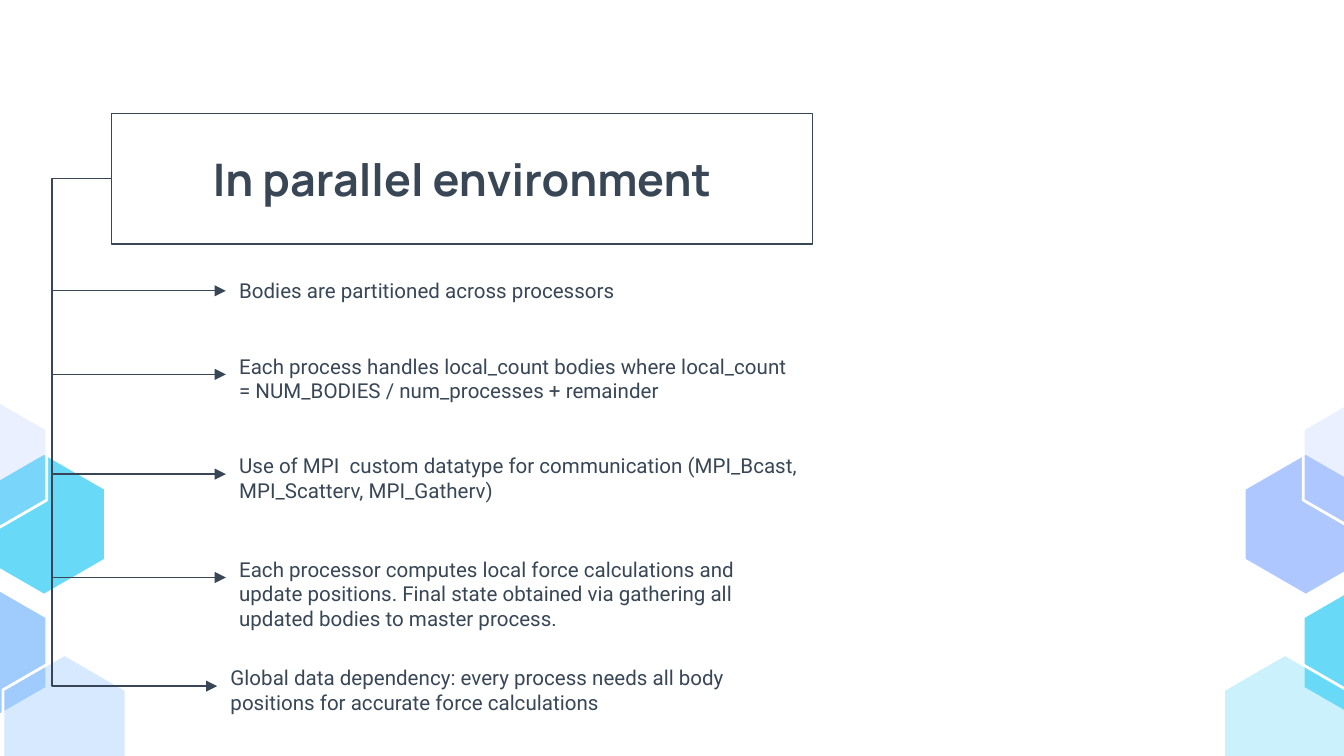
from lxml import etree
from pptx import Presentation
from pptx.dml.color import RGBColor
from pptx.enum.shapes import MSO_CONNECTOR
from pptx.enum.text import MSO_ANCHOR, MSO_AUTO_SIZE, PP_ALIGN
from pptx.oxml.ns import qn
from pptx.util import Pt

STRAIGHT, ELBOW = MSO_CONNECTOR.STRAIGHT, MSO_CONNECTOR.ELBOW
MIDDLE, TOP = MSO_ANCHOR.MIDDLE, MSO_ANCHOR.TOP
CENTER, NO_FIT = PP_ALIGN.CENTER, MSO_AUTO_SIZE.NONE
INK = "384655"
LEFT_SIDE = 1


def rgb(value):
    return RGBColor.from_string(value)


def add_arrow(kind, x, y, target):
    c = s.shapes.add_connector(kind, Pt(x), Pt(y), Pt(x), Pt(y))
    c.end_connect(target, LEFT_SIDE)
    c.line.color.rgb = rgb(INK)
    c.line.width = Pt(0.75)
    etree.SubElement(c.line._get_or_add_ln(), qn("a:tailEnd"), type="triangle")
    etree.SubElement(c._element.spPr, qn("a:effectLst"))
    return c


prs = Presentation()
prs.slide_width, prs.slide_height = Pt(720), Pt(405)
s = prs.slides.add_slide(prs.slide_layouts[5])

HEX_W, HEX_H = 66, 76.2
hexagons = [
    (-9.4, 242.8, "68DAF8", 100),
    (-41, 210.8, "AFC7FF", 25),
    (-41, 311.5, "9FCBFD", 100),
    (1.6, 350.6, "9FCBFD", 41),
    (666.6, 242.8, "AFC7FF", 100),
    (698.2, 210.8, "AFC7FF", 25),
    (698.2, 311.5, "68DAF8", 100),
    (655.4, 350.6, "68DAF8", 34),
]
corners = [(0.5, 0), (1, 0.25), (1, 0.75), (0.5, 1), (0, 0.75), (0, 0.25)]
for x, y, color, opacity in hexagons:
    pts = [(Pt(x + HEX_W * u), Pt(y + HEX_H * v)) for u, v in corners]
    builder = s.shapes.build_freeform(*pts[0])
    builder.add_line_segments(pts[1:], close=True)
    sp = builder.convert_to_shape()
    sp.shadow.inherit = False
    sp.fill.solid()
    sp.fill.fore_color.rgb = rgb(color)
    sp.line.color.rgb = rgb("FFFFFF")
    sp.line.width = Pt(1.5)
    if opacity < 100:
        clr = sp._element.spPr.find(qn("a:solidFill"))[0]
        etree.SubElement(clr, qn("a:alpha"), val=str(opacity * 1000))

title = s.shapes.title
title.left, title.top, title.width, title.height = Pt(59.6), Pt(60.9), Pt(375.8), Pt(69.8)
title.line.color.rgb = rgb(INK)
title.line.width = Pt(0.75)
tf = title.text_frame
tf.auto_size = NO_FIT
tf.vertical_anchor = MIDDLE
p = tf.paragraphs[0]
p.text = "In parallel environment"
p.alignment = CENTER
p.font.name, p.font.size, p.font.bold = "Manrope", Pt(24), True
p.font.color.rgb = rgb(INK)

SPINE_X = 27.8
points = [
    (121, 142.5, 26.6, "Bodies are partitioned across processors"),
    (121, 182.2, 36.8, "Each process handles local_count bodies where local_count = NUM_BODIES / num_processes + remainder"),
    (121, 235.6, 36.8, "Use of MPI  custom datatype for communication (MPI_Bcast, MPI_Scatterv, MPI_Gatherv)"),
    (121, 291, 36.8, "Each processor computes local force calculations and update positions. Final state obtained via gathering all updated bodies to master process."),
    (116.4, 349.2, 36.8, "Global data dependency: every process needs all body positions for accurate force calculations"),
]
boxes = []
for x, y, h, text in points:
    box = s.shapes.add_textbox(Pt(x), Pt(y), Pt(314), Pt(h))
    tf = box.text_frame
    tf.word_wrap = True
    tf.vertical_anchor = TOP
    tf.margin_left = tf.margin_right = tf.margin_top = tf.margin_bottom = Pt(7.2)
    p = tf.paragraphs[0]
    p.text = text
    p.font.name, p.font.size = "Roboto", Pt(11)
    p.font.color.rgb = rgb(INK)
    boxes.append(box)

for box, (x, y, h, text) in zip(boxes[:-1], points):
    add_arrow(STRAIGHT, SPINE_X, y + h / 2, box)

spine = add_arrow(ELBOW, 59.6, 95.8, boxes[-1])
spine.begin_connect(title, LEFT_SIDE)
geom = spine._element.spPr.find(qn("a:prstGeom"))
bend = round((Pt(SPINE_X) - title.left) / spine.width * 100000)
etree.SubElement(geom.find(qn("a:avLst")), qn("a:gd"), name="adj1", fmla=f"val {bend}")

prs.save("out.pptx")
